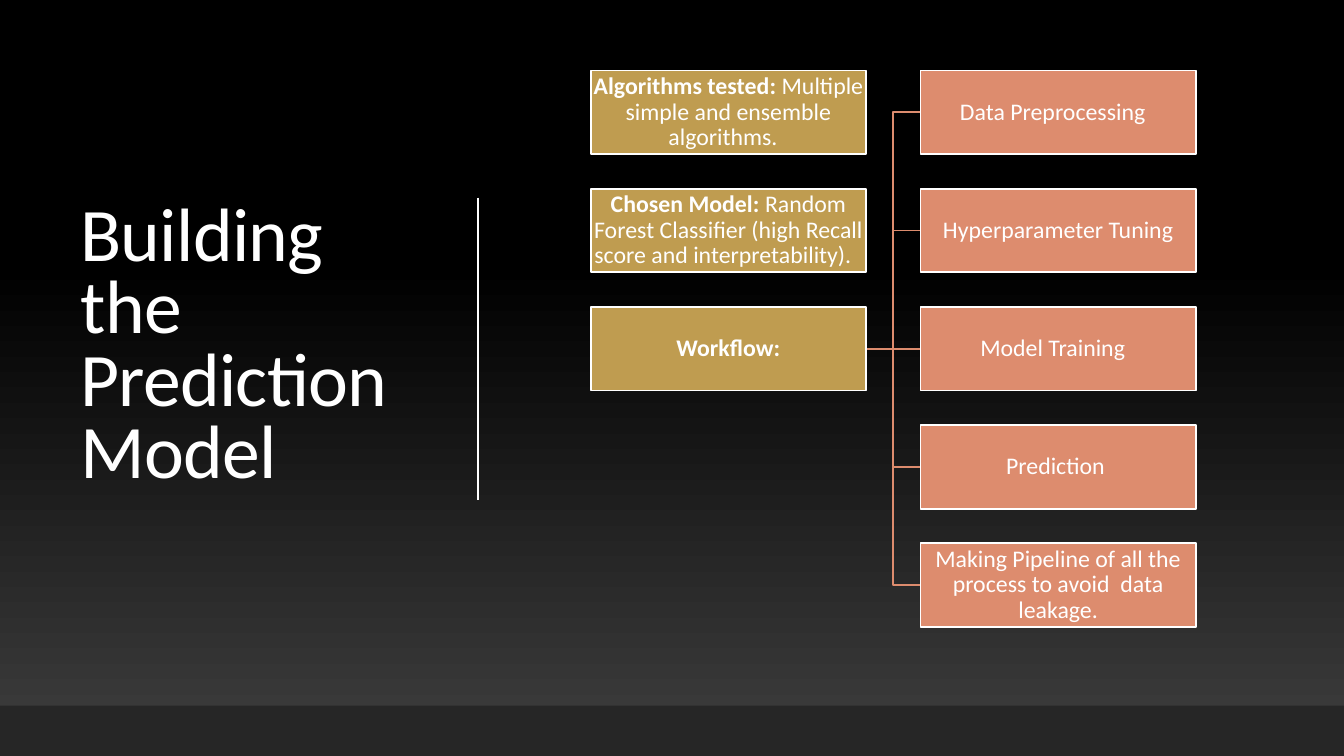
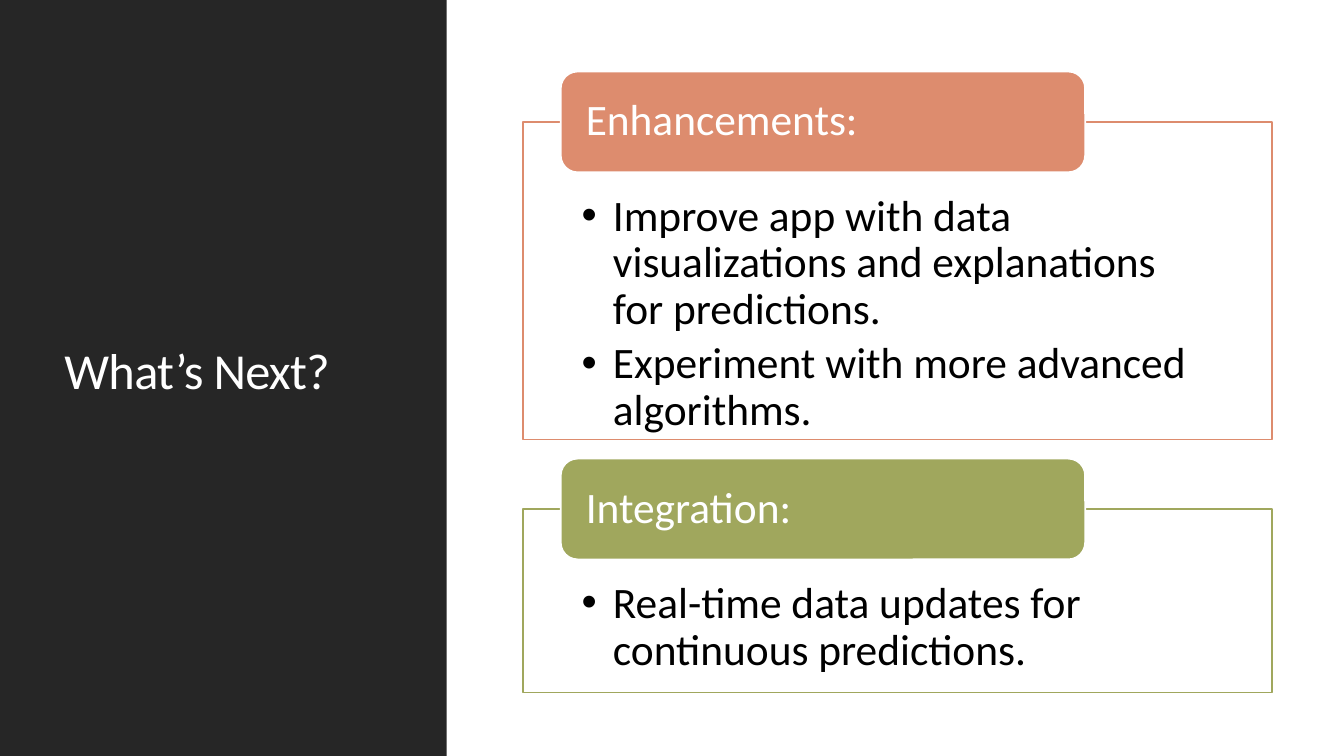
import pptx
import pptx.util
import pptx.dml.color
import pptx.enum.shapes
import pptx.enum.text
import pptx.oxml.ns
from lxml import etree

Inches = pptx.util.Inches
Pt = pptx.util.Pt
SHAPE = pptx.enum.shapes.MSO_SHAPE
CONN = pptx.enum.shapes.MSO_CONNECTOR
ALIGN = pptx.enum.text.PP_ALIGN
ANCHOR = pptx.enum.text.MSO_ANCHOR
qn = pptx.oxml.ns.qn

FONT = "Calibri"
W, H = 13.33, 7.5
COLORS = {
    "white": "FFFFFF",
    "black": "000000",
    "gray": "3F3F3F",
    "band": "262626",
    "gold": "BF9C50",
    "coral": "DD8C6E",
    "green": "A0A75D",
}

TOPICS = [
    [("Algorithms tested:", True), (" Multiple simple and ensemble algorithms.  ", False)],
    [("Chosen Model:", True), (" Random Forest Classifier (high Recall score and interpretability).  ", False)],
    [("Workflow:", True)],
]
STEPS = [
    [("Data Preprocessing  ", False)],
    [("Hyperparameter Tuning", False)],
    [("Model Training  ", False)],
    [("Prediction ", False)],
    [("Making Pipeline of all the process to avoid  data leakage.", False)],
]
PLANS = [
    ("Enhancements:", "coral", 0.71, 3.15, [
        "Improve app with data visualizations and explanations for predictions. ",
        "Experiment with more advanced algorithms. ",
    ]),
    ("Integration:", "green", 4.55, 1.82, [
        "Real-time data updates for continuous predictions. ",
    ]),
]


def rgb(name):
    return pptx.dml.color.RGBColor.from_string(COLORS[name])


def add_bullet(p, indent):
    pPr = p._p.get_or_add_pPr()
    pPr.set("marL", str(Inches(indent)))
    pPr.set("indent", str(-Inches(indent)))
    etree.SubElement(pPr, qn("a:buFont")).set("typeface", "Arial")
    etree.SubElement(pPr, qn("a:buChar")).set("char", "•")


def put_text(sp, paras, size, color="white", align=ALIGN.LEFT, anchor=ANCHOR.MIDDLE,
             insets=(0.1, 0.05, 0.1, 0.05), leading=0.9, after=0, bullet=0, spacing=0):
    tf = sp.text_frame
    tf.word_wrap = True
    tf.vertical_anchor = anchor
    tf.margin_left, tf.margin_top, tf.margin_right, tf.margin_bottom = map(Inches, insets)
    for i, runs in enumerate(paras):
        p = tf.add_paragraph() if i else tf.paragraphs[0]
        p.alignment = align
        p.line_spacing = leading
        p.space_after = Pt(after)
        if bullet:
            add_bullet(p, bullet)
        for words, bold in runs:
            r = p.add_run()
            r.text = words
            r.font.name = FONT
            r.font.size = Pt(size)
            r.font.bold = bold
            r.font.color.rgb = rgb(color)
            if spacing:
                r._r.get_or_add_rPr().set("spc", str(int(spacing * 100)))


def add_box(s, x, y, w, h, fill, line=None, kind=SHAPE.RECTANGLE):
    sp = s.shapes.add_shape(kind, Inches(x), Inches(y), Inches(w), Inches(h))
    sp.shadow.inherit = False
    sp.fill.solid()
    sp.fill.fore_color.rgb = rgb(fill)
    if line:
        sp.line.color.rgb = rgb(line)
        sp.line.width = Pt(1.25)
    else:
        sp.line.fill.background()
    return sp


def add_line(s, x1, y1, x2, y2, color, width, kind=CONN.STRAIGHT):
    c = s.shapes.add_connector(kind, Inches(x1), Inches(y1), Inches(x2), Inches(y2))
    c.line.color.rgb = rgb(color)
    c.line.width = Pt(width)
    etree.SubElement(c._element.spPr, qn("a:effectLst"))
    return c


def add_title(s, x, y, w, h, words, size):
    sp = s.shapes.add_textbox(Inches(x), Inches(y), Inches(w), Inches(h))
    put_text(sp, [[(words, False)]], size, leading=0.8, spacing=-0.5)


def set_gradient(s):
    fill = s.background.fill
    fill.gradient()
    fill.gradient_angle = 90
    for stop, color, position in zip(fill.gradient_stops, ("gray", "black"), (0, 0.65)):
        stop.color.rgb = rgb(color)
        stop.position = position


def add_column(s, x, y, w, h, pitch, items, fill):
    boxes = []
    for i, runs in enumerate(items):
        sp = add_box(s, x, y + i * pitch, w, h, fill, "white")
        put_text(sp, [runs], 17, align=ALIGN.CENTER, insets=(0.01,) * 4)
        boxes.append(sp)
    return boxes


def add_workflow(s, x, y, w, h):
    box_w, box_h = 2.73, 0.83
    pitch = (h - box_h) / (len(STEPS) - 1)
    right = x + w - box_w
    root = len(TOPICS) - 1
    mid = y + box_h / 2
    for i in range(len(STEPS)):
        kind = CONN.STRAIGHT if i == root else CONN.ELBOW
        add_line(s, x + box_w, mid + root * pitch, right, mid + i * pitch, "coral", 1.25, kind)
    add_column(s, x, y, box_w, box_h, pitch, TOPICS, "gold")
    add_column(s, right, y, box_w, box_h, pitch, STEPS, "coral")


def add_plan(s, x, y, w, h, heading, color, items):
    tag_h = 1
    panel = add_box(s, x, y + tag_h / 2, w, h, "white", color)
    put_text(panel, [[(item, False)] for item in items], 31, color="black",
             anchor=ANCHOR.TOP, insets=(0.58, 0.71, 0.58, 0.24), after=5, bullet=0.31)
    tag = add_box(s, x + w * 0.05, y, w * 0.7, tag_h, color, "white", SHAPE.ROUNDED_RECTANGLE)
    put_text(tag, [[(heading, False)]], 31, insets=(0.2, 0, 0.2, 0))


def build_model_slide(prs):
    s = prs.slides.add_slide(prs.slide_layouts[6])
    set_gradient(s)
    add_title(s, 0.7, 0.69, 3.69, 5.53, "Building the Prediction Model", 54)
    add_line(s, 4.74, 1.96, 4.74, 4.96, "white", 1.5)
    add_box(s, 0, 7, W, 0.5, "band")
    add_workflow(s, 5.86, 0.7, 6, 5.52)


def build_next_slide(prs):
    s = prs.slides.add_slide(prs.slide_layouts[6])
    add_box(s, 0, 0, 4.43, H, "band")
    add_title(s, 0.54, 0.57, 3.37, 6.31, "What’s Next?", 36)
    for heading, color, y, h, items in PLANS:
        add_plan(s, 5.19, y, 7.43, h, heading, color, items)


def main():
    prs = pptx.Presentation()
    prs.slide_width = Inches(W)
    prs.slide_height = Inches(H)
    build_model_slide(prs)
    build_next_slide(prs)
    prs.save("out.pptx")


if __name__ == "__main__":
    main()
